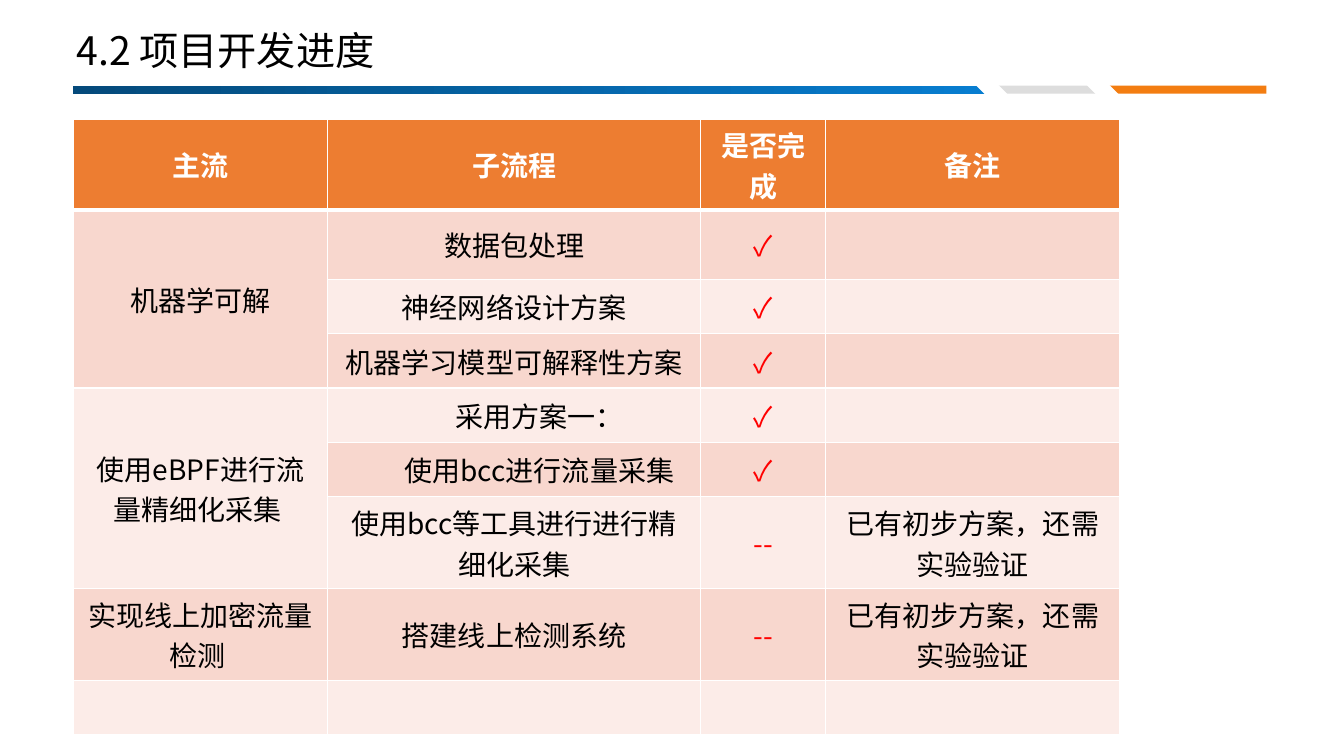
"""Builds the project progress slide: a title, a three-part rule and a status table."""
import pptx
import pptx.dml.color
import pptx.enum.shapes
import pptx.enum.text
import pptx.oxml.ns
import pptx.util
from lxml import etree

Inches, Pt = pptx.util.Inches, pptx.util.Pt
RGB = pptx.dml.color.RGBColor
MIDDLE = pptx.enum.text.MSO_ANCHOR.MIDDLE
CENTER = pptx.enum.text.PP_ALIGN.CENTER
qn = pptx.oxml.ns.qn

FONT = "Noto Sans CJK SC"
BLACK, WHITE, RED = RGB(0, 0, 0), RGB(255, 255, 255), RGB(255, 0, 0)
NAVY, BLUE = RGB(0x04, 0x4A, 0x7B), RGB(0x07, 0x7D, 0xD0)
GRAY, AMBER = RGB(0xDD, 0xDD, 0xDD), RGB(0xF3, 0x7D, 0x11)
HEAD, ROSE, PALE = RGB(0xED, 0x7D, 0x31), RGB(0xF8, 0xD7, 0xCE), RGB(0xFC, 0xEC, 0xE8)

TITLE = "4.2 项目开发进度"
BARS = [
    (0.72, 0.85, 9.06, 0.08, 0, NAVY),
    (9.89, 0.85, 0.98, 0.08, 0, GRAY),
    (10.99, 0.85, 1.57, 0.08, 0, AMBER),
    (9.75, 0.68, 0.16, 0.41, 135, WHITE),
    (10.87, 0.7, 0.16, 0.41, 135, WHITE),
]
PLAN = "已有初步方案，还需实验验证"
ROWS = [
    ("主流", "子流程", "是否完成", "备注"),
    ("机器学可解", "数据包处理", "✓", ""),
    ("", "神经网络设计方案", "✓", ""),
    ("", "机器学习模型可解释性方案", "✓", ""),
    ("使用eBPF进行流量精细化采集 ", "采用方案一：", "✓", ""),
    ("", "使用bcc进行流量采集", "✓", ""),
    ("", "使用bcc等工具进行进行精细化采集", "--", PLAN),
    ("实现线上加密流量检测 ", "搭建线上检测系统", "--", PLAN),
    ("", "", "", ""),
]
WIDTHS = [2.52, 3.7, 1.24, 2.92]
HEIGHTS = [0.9, 0.69, 0.54, 0.54, 0.54, 0.54, 0.91, 0.91, 0.54]
SPANS = [(1, 3), (4, 6)]
INDENTS = [(4, 1), (5, 1)]


def style(para, size, color, bold=False):
    for run in para.runs:
        font = run.font
        font.size, font.name, font.bold = Pt(size), FONT, bold
        font.color.rgb = color
        etree.SubElement(run._r.get_or_add_rPr(), qn("a:ea")).set("typeface", FONT)


def edge(cell, top, low):
    props = cell._tc.get_or_add_tcPr()
    sides = [("lnL", 1), ("lnR", 1), ("lnT", top), ("lnB", low)]
    for i, (tag, wide) in enumerate(sides):
        line = etree.Element(qn("a:" + tag), w=str(Pt(wide)))
        fill = etree.SubElement(line, qn("a:solidFill"))
        etree.SubElement(fill, qn("a:srgbClr")).set("val", str(WHITE))
        props.insert(i, line)


def add_bars(slide):
    kind = pptx.enum.shapes.MSO_SHAPE.RECTANGLE
    for *box, turn, color in BARS:
        bar = slide.shapes.add_shape(kind, *map(Inches, box))
        bar.rotation = turn
        bar.shadow.inherit = False
        bar.line.fill.background()
        if color == NAVY:
            bar.fill.gradient()
            bar.fill.gradient_angle = 0
            for stop, tone in zip(bar.fill.gradient_stops, (NAVY, BLUE)):
                stop.color.rgb = tone
        else:
            bar.fill.solid()
            bar.fill.fore_color.rgb = color


def add_title(slide):
    box = slide.shapes.add_textbox(*map(Inches, (0.66, 0.2, 4.87, 0.64)))
    frame = box.text_frame
    frame.word_wrap, frame.vertical_anchor = True, MIDDLE
    frame.text = TITLE
    para = frame.paragraphs[0]
    para.line_spacing, para.space_before = 0.9, Pt(10)
    style(para, 28, BLACK)


def add_grid(slide):
    spot = map(Inches, (0.73, 1.18, sum(WIDTHS), sum(HEIGHTS)))
    grid = slide.shapes.add_table(len(ROWS), len(WIDTHS), *spot).table
    grid.horz_banding = False
    for col, wide in zip(grid.columns, WIDTHS):
        col.width = Inches(wide)
    for r, texts in enumerate(ROWS):
        grid.rows[r].height = Inches(HEIGHTS[r])
        for c, text in enumerate(texts):
            cell = grid.cell(r, c)
            cell.text, cell.vertical_anchor = text, MIDDLE
            cell.fill.solid()
            cell.fill.fore_color.rgb = HEAD if r == 0 else ROSE if r % 2 else PALE
            edge(cell, 3 if r == 1 else 1, 1 if r else 3)
            para = cell.text_frame.paragraphs[0]
            para.alignment = CENTER
            style(para, 20, WHITE if r == 0 else RED if c == 2 else BLACK, r == 0)
            if (r, c) in INDENTS:
                para._p.get_or_add_pPr().set("marL", str(Inches(0.5)))
    for top, end in SPANS:
        grid.cell(top, 0).merge(grid.cell(end, 0))


def main():
    deck = pptx.Presentation()
    deck.slide_width, deck.slide_height = Inches(13.33), Inches(7.5)
    slide = deck.slides.add_slide(deck.slide_layouts[6])
    add_bars(slide)
    add_title(slide)
    add_grid(slide)
    deck.save("out.pptx")


if __name__ == "__main__":
    main()
